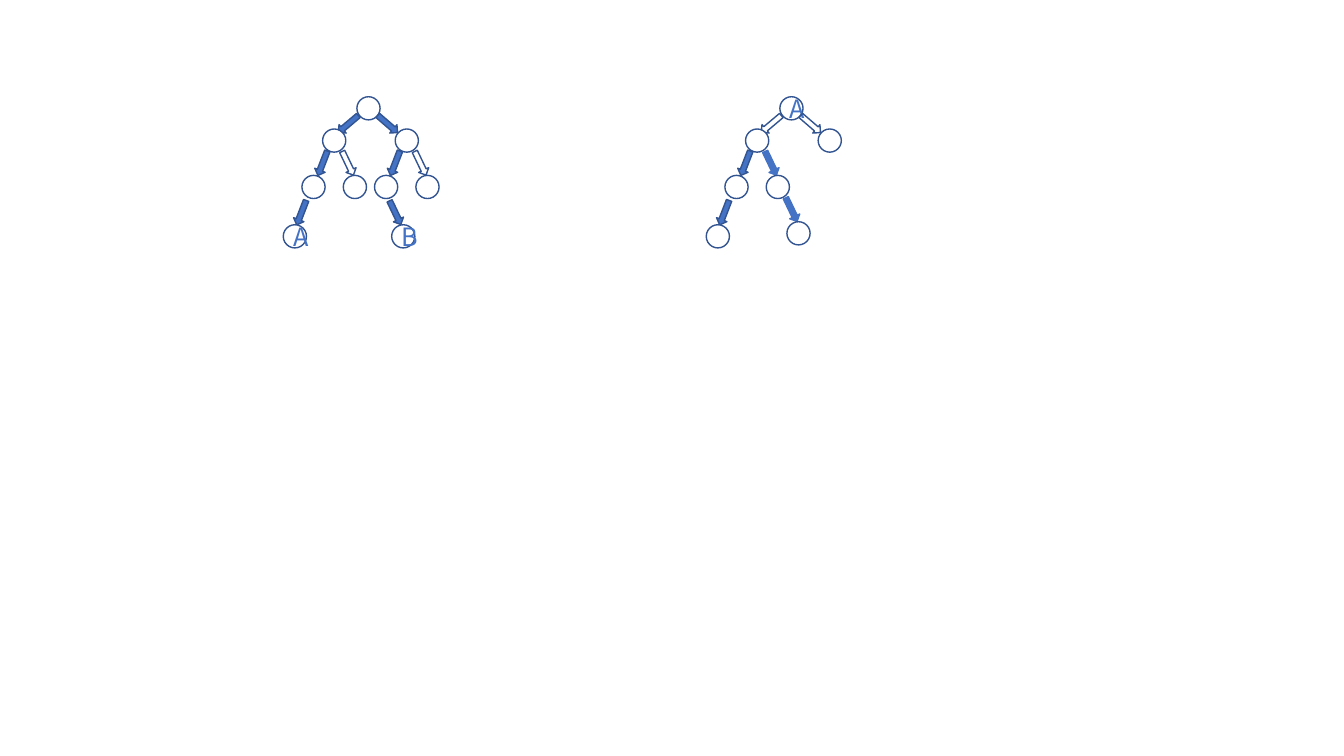
from dataclasses import dataclass

from pptx import Presentation
from pptx.dml.color import RGBColor
from pptx.enum.shapes import MSO_SHAPE as Preset
from pptx.enum.text import PP_ALIGN as Align
from pptx.shapes.autoshape import Shape
from pptx.slide import Slide
from pptx.util import Inches, Pt

COLUMNS, ROWS = 1333, 750
PAGE_WIDTH, PAGE_HEIGHT = Inches(13.33), Inches(7.5)
NODE_SIZE = (23, 23)
ARROW_SIZE = (11, 26)
WHITE, BLUE, NAVY = "FFFFFF", "4472C4", "325491"
FONT = "Noto Sans CJK SC"

Cell = tuple[float, float]


@dataclass(frozen=True)
class Step:
    child: Cell
    arrow: Cell
    angle: float


@dataclass(frozen=True)
class Style:
    fill: str | None
    line: str


@dataclass(frozen=True)
class Node:
    label: str = ""
    branches: tuple["Branch", ...] = ()


@dataclass(frozen=True)
class Branch:
    step: Step
    style: Style
    child: Node = Node()


@dataclass(frozen=True)
class Tree:
    corner: Cell
    root: Node


WIDE_LEFT = Step((-34, 32), (-14, 14), 49.8)
WIDE_RIGHT = Step((38, 32), (25, 14), 310.9)
LEFT = Step((-20.5, 46), (-5.5, 21), 21.1)
RIGHT = Step((20.5, 46), (19.5, 21), 334.5)
LOW_LEFT = Step((-18.5, 49), (-6, 24), 21.1)
LOW_RIGHT = Step((17, 49), (15, 24), 334.5)

CIRCLE = Style(WHITE, NAVY)
SOLID = Style(BLUE, NAVY)
HOLLOW = Style(None, NAVY)
PLAIN = Style(BLUE, BLUE)

TREES = (
    Tree((354, 96), Node(branches=(
        Branch(WIDE_LEFT, SOLID, Node(branches=(
            Branch(LEFT, SOLID, Node(branches=(
                Branch(LOW_LEFT, SOLID, Node("A")),
            ))),
            Branch(RIGHT, HOLLOW),
        ))),
        Branch(WIDE_RIGHT, SOLID, Node(branches=(
            Branch(LEFT, SOLID, Node(branches=(
                Branch(LOW_RIGHT, SOLID, Node("B")),
            ))),
            Branch(RIGHT, HOLLOW),
        ))),
    ))),
    Tree((773.5, 96), Node("A", (
        Branch(WIDE_LEFT, HOLLOW, Node(branches=(
            Branch(LEFT, SOLID, Node(branches=(
                Branch(LOW_LEFT, SOLID),
            ))),
            Branch(RIGHT, PLAIN, Node(branches=(
                Branch(RIGHT, PLAIN),
            ))),
        ))),
        Branch(WIDE_RIGHT, HOLLOW),
    ))),
)


def color(value: str) -> RGBColor:
    return RGBColor.from_string(value)


def across(columns: float) -> int:
    return round(PAGE_WIDTH * columns / COLUMNS)


def down(rows: float) -> int:
    return round(PAGE_HEIGHT * rows / ROWS)


def shifted(corner: Cell, offset: Cell) -> Cell:
    return corner[0] + offset[0], corner[1] + offset[1]


def draw_shape(page: Slide, preset: Preset, corner: Cell, size: Cell, style: Style) -> Shape:
    shape = page.shapes.add_shape(
        preset, across(corner[0]), down(corner[1]), across(size[0]), down(size[1])
    )
    shape.shadow.inherit = False
    if style.fill:
        shape.fill.solid()
        shape.fill.fore_color.rgb = color(style.fill)
    else:
        shape.fill.background()
    shape.line.color.rgb = color(style.line)
    shape.line.width = Pt(1)
    return shape


def write_label(circle: Shape, label: str) -> None:
    para = circle.text_frame.paragraphs[0]
    para.text = label
    para.alignment = Align.CENTER
    for span in para.runs:
        span.font.name = FONT
        span.font.size = Pt(18)
        span.font.color.rgb = color(BLUE)


def draw_node(page: Slide, node: Node, corner: Cell) -> None:
    circle = draw_shape(page, Preset.OVAL, corner, NODE_SIZE, CIRCLE)
    if node.label:
        write_label(circle, node.label)
    for branch in node.branches:
        start = shifted(corner, branch.step.arrow)
        arrow = draw_shape(page, Preset.DOWN_ARROW, start, ARROW_SIZE, branch.style)
        arrow.rotation = branch.step.angle
    for branch in node.branches:
        draw_node(page, branch.child, shifted(corner, branch.step.child))


def main() -> None:
    deck = Presentation()
    deck.slide_width, deck.slide_height = PAGE_WIDTH, PAGE_HEIGHT
    page = deck.slides.add_slide(deck.slide_layouts.get_by_name("Blank"))
    for tree in TREES:
        draw_node(page, tree.root, tree.corner)
    deck.save("out.pptx")


if __name__ == "__main__":
    main()
